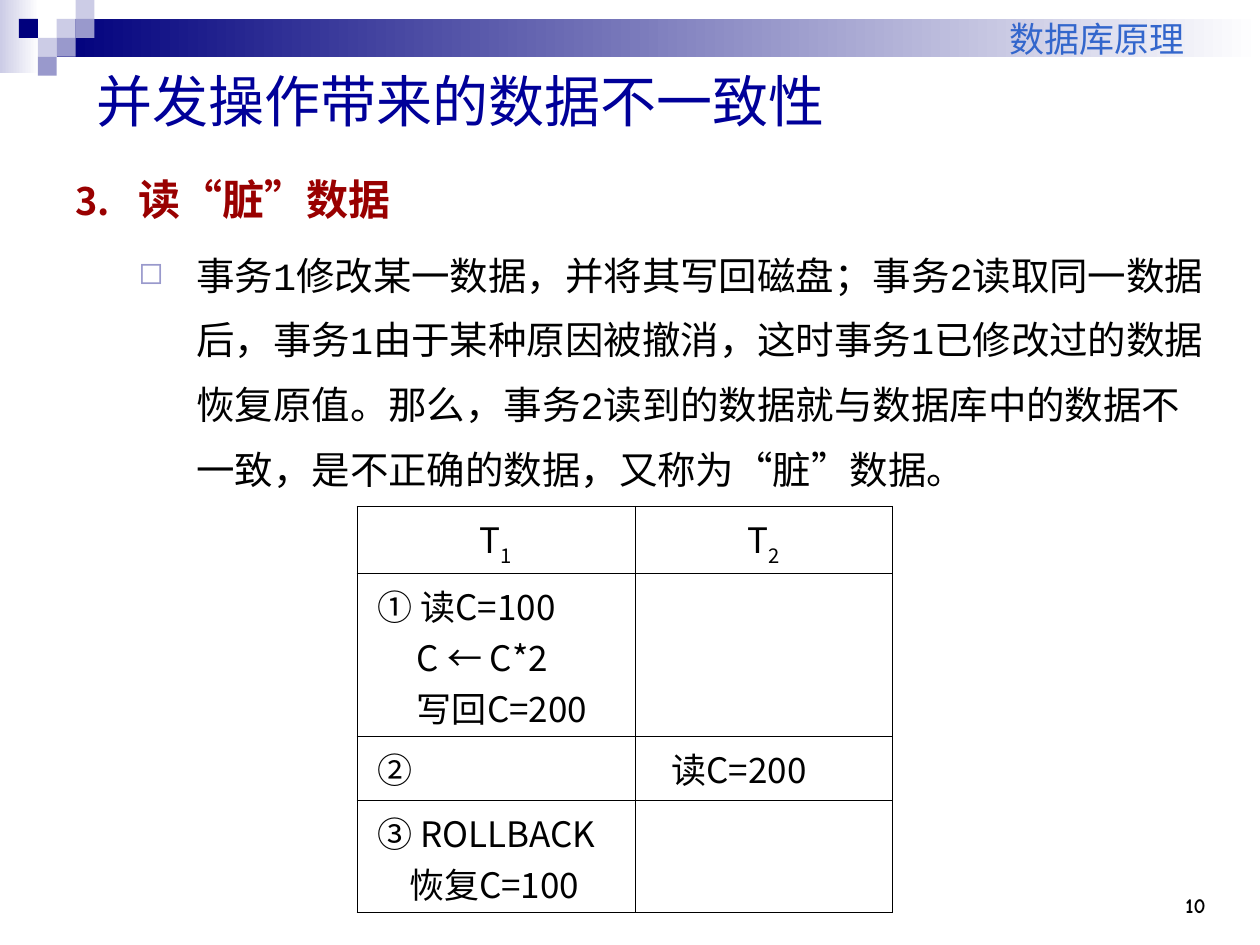
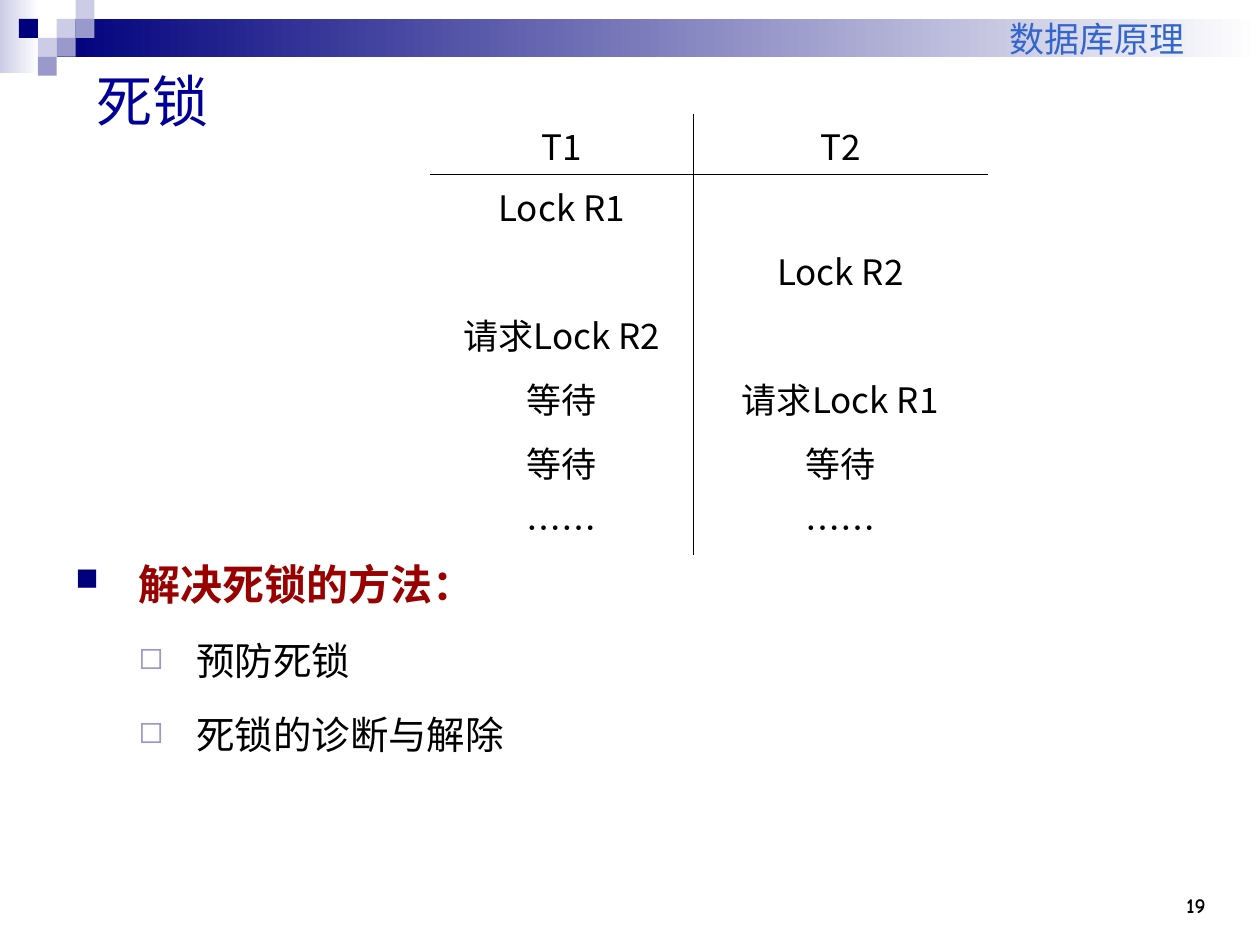
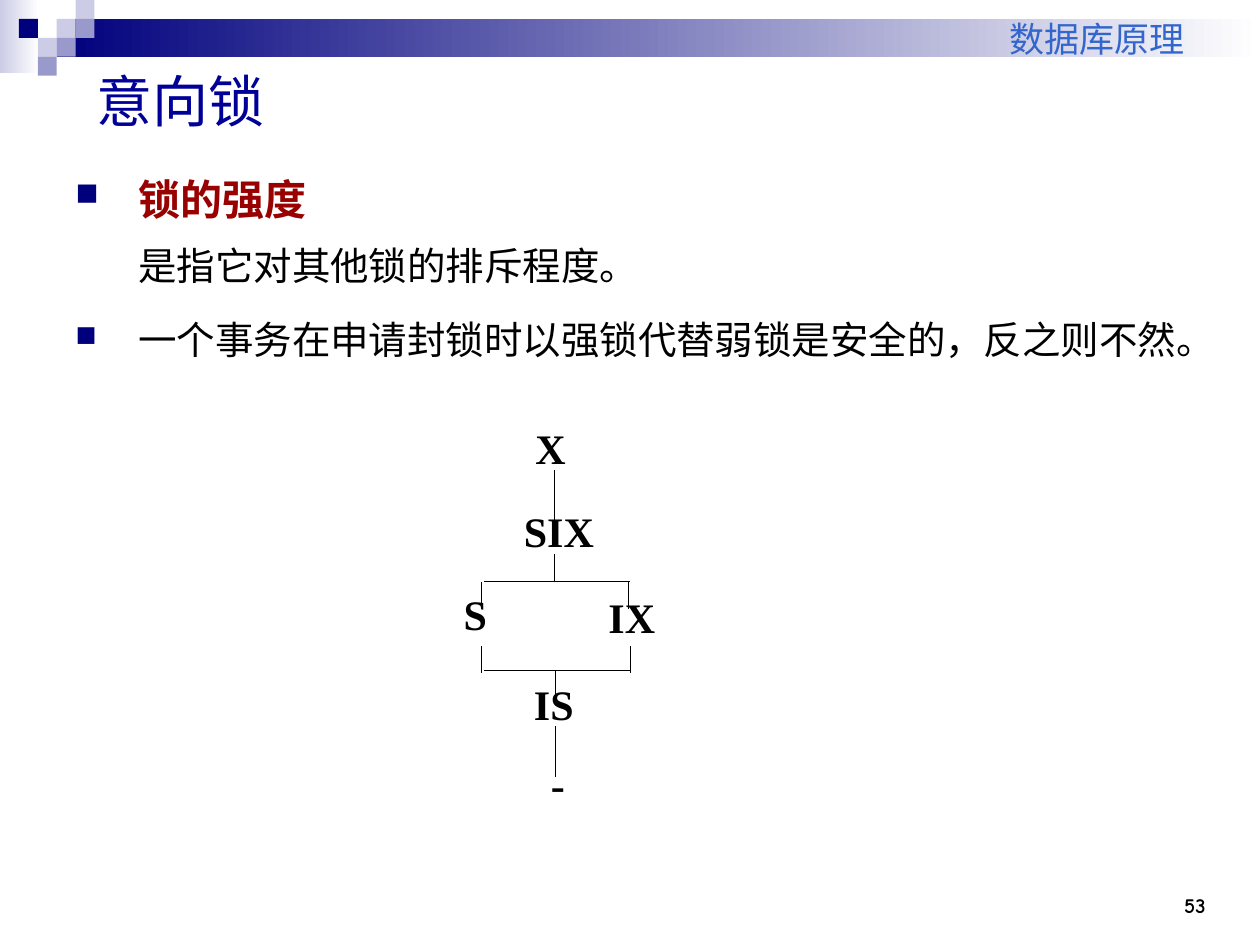
import pptx
import pptx.dml.color
import pptx.enum.shapes
import pptx.enum.text
import pptx.oxml.ns
import pptx.util
from dataclasses import dataclass
from lxml import etree

Pt = pptx.util.Pt
qn = pptx.oxml.ns.qn
ALIGN = pptx.enum.text.PP_ALIGN
ANCHOR = pptx.enum.text.MSO_ANCHOR
RECT = pptx.enum.shapes.MSO_SHAPE.RECTANGLE
LINE = pptx.enum.shapes.MSO_CONNECTOR.STRAIGHT

COLORS = {
    "navy": "00007D", "mid": "9999CC", "pale": "CCCCE6", "white": "FFFFFF",
    "title": "000099", "head": "3366CC", "red": "990000", "black": "000000",
}
COMIC, MONO, SANS, TIMES = "Comic Neue", "Courier New", "Noto Sans CJK SC", "Times New Roman"


@dataclass
class Box:
    left: float
    top: float
    width: float
    height: float

    def points(self) -> list:
        return [Pt(v) for v in (self.left, self.top, self.width, self.height)]


@dataclass
class Mark:
    """A bullet: a character, or a number when start is set."""
    color: str
    size: int
    char: str = ""
    start: int = 0


@dataclass
class Item:
    """A body paragraph; each run is (text, style)."""
    runs: list
    mark: Mark
    level: int = 0
    before: float = 5.5


@dataclass
class Cell:
    """A table cell; each line is (text, indent), and sub is a subscript."""
    lines: tuple = ()
    sub: str = ""
    align: ALIGN = ALIGN.LEFT


@dataclass
class Label:
    text: str
    box: Box
    indent: float = 0


STEP = 10.8
CHECKS = [(3, 1, "pale"), (4, 0, "pale"), (4, 1, "mid"), (2, 2, "pale"),
          (1, 1, "navy"), (3, 2, "mid"), (2, 3, "mid")]
BANDS = [(Box(0, 0, 22.3, 41.8), "pale"), (Box(32.4, 10.8, 687.6, 21.6), "navy")]
TITLE = Box(48, 30, 648, 54)
HEAD = Box(276, 0, 426, 37.5)
PAGE = Box(636, 492, 60, 36)
BODY = Box(36, 84, 660, 420)

SQUARE = Mark("navy", 75, "■")
HOLLOW = Mark("mid", 80, "◻")
STRONG = dict(size=24, font=MONO, color="red", bold=True)
PLAIN = dict(size=22, font=MONO)
INDENTS = [(36, -36), (69.1, -33.1)]


# Helpers
def rgb(name: str) -> pptx.dml.color.RGBColor:
    return pptx.dml.color.RGBColor.from_string(COLORS[name])


def write(para, text: str, *, size: float, font: str, color: str = "black",
          bold: bool = False, base: int = 0) -> None:
    run = para.add_run()
    run.text = text
    run.font.size, run.font.name, run.font.bold = Pt(size), font, bold
    run.font.color.rgb = rgb(color)
    props = run.font._element
    etree.SubElement(props, qn("a:ea")).set("typeface", SANS)
    if base:
        props.set("baseline", str(base * 1000))


def indent(para, left: float, first: float = 0) -> None:
    props = para._p.get_or_add_pPr()
    props.set("marL", str(Pt(left)))
    props.set("indent", str(Pt(first)))


def add_mark(para, mark: Mark) -> None:
    props = para._p.get_or_add_pPr()
    tint = etree.SubElement(props, qn("a:buClr"))
    etree.SubElement(tint, qn("a:srgbClr")).set("val", COLORS[mark.color])
    etree.SubElement(props, qn("a:buSzPct")).set("val", str(mark.size * 1000))
    if mark.start:
        auto = etree.SubElement(props, qn("a:buAutoNum"))
        auto.set("type", "arabicPeriod")
        auto.set("startAt", str(mark.start))
    else:
        etree.SubElement(props, qn("a:buChar")).set("char", mark.char)


def add_frame(slide, box: Box, anchor: ANCHOR = ANCHOR.TOP):
    frame = slide.shapes.add_textbox(*box.points()).text_frame
    frame.word_wrap = True
    frame.vertical_anchor = anchor
    return frame


def add_rect(slide, box: Box):
    shape = slide.shapes.add_shape(RECT, *box.points())
    shape.shadow.inherit = False
    shape.line.fill.background()
    return shape


def add_line(slide, x1: float, y1: float, x2: float, y2: float) -> None:
    line = slide.shapes.add_connector(LINE, Pt(x1), Pt(y1), Pt(x2), Pt(y2))
    line.line.color.rgb = rgb("black")
    line.line.width = Pt(0.5)
    etree.SubElement(line._element.spPr, qn("a:effectLst"))


# Shared slide parts
def add_slide(deck, title: str, page: int):
    slide = deck.slides.add_slide(deck.slide_layouts[6])
    for box, color in BANDS:
        fill = add_rect(slide, box).fill
        fill.gradient()
        fill.gradient_angle = 0
        for stop, name in zip(fill.gradient_stops, (color, "white")):
            stop.color.rgb = rgb(name)
    for col, row, color in CHECKS:
        fill = add_rect(slide, Box(col * STEP, row * STEP, STEP, STEP)).fill
        fill.solid()
        fill.fore_color.rgb = rgb(color)

    para = add_frame(slide, PAGE, ANCHOR.BOTTOM).paragraphs[0]
    para.alignment = ALIGN.RIGHT
    write(para, str(page), size=12, font=COMIC, bold=True)

    frame = add_frame(slide, HEAD, ANCHOR.BOTTOM)
    frame.margin_right = Pt(25)
    frame.paragraphs[0].alignment = ALIGN.RIGHT
    write(frame.paragraphs[0], "数据库原理", size=20, font=COMIC, color="head")

    para = add_frame(slide, TITLE, ANCHOR.MIDDLE).paragraphs[0]
    write(para, title, size=32, font=COMIC, color="title")
    return slide


def add_body(slide, box: Box, items: list[Item]) -> None:
    frame = add_frame(slide, box)
    for i, item in enumerate(items):
        para = frame.add_paragraph() if i else frame.paragraphs[0]
        para.level = item.level
        para.line_spacing = 1.4
        para.space_before = Pt(item.before if i else 0)
        indent(para, *INDENTS[item.level])
        add_mark(para, item.mark)
        for j, (text, style) in enumerate(item.runs):
            if j:
                para.add_line_break()
            write(para, text, **style)


# Tables
def add_edges(cell, sides: str) -> None:
    props = cell._tc.get_or_add_tcPr()
    for side in "LRTB":
        edge = etree.SubElement(props, qn(f"a:ln{side}"))
        edge.set("w", str(Pt(0.45)))
        if side in sides:
            fill = etree.SubElement(edge, qn("a:solidFill"))
            etree.SubElement(fill, qn("a:srgbClr")).set("val", COLORS["black"])
        else:
            etree.SubElement(edge, qn("a:noFill"))
    cell.fill.background()


def add_grid(slide, left: float, top: float, cols: list, rows: list,
             cells: list[list[Cell]], boxed: bool) -> None:
    box = Box(left, top, sum(cols), sum(rows))
    table = slide.shapes.add_table(len(rows), len(cols), *box.points()).table
    table.first_row = table.horz_banding = False
    for col, width in zip(table.columns, cols):
        col.width = Pt(width)
    for r, (height, line) in enumerate(zip(rows, cells)):
        table.rows[r].height = Pt(height)
        for c, data in enumerate(line):
            cell = table.cell(r, c)
            inner = ("L" if c else "R") + {0: "B", 1: "T"}.get(r, "")
            add_edges(cell, "LRTB" if boxed else inner)
            for i, (text, left_pad) in enumerate(data.lines):
                frame = cell.text_frame
                para = frame.add_paragraph() if i else frame.paragraphs[0]
                para.alignment = data.align
                indent(para, left_pad)
                write(para, text, size=20, font=SANS)
                if data.sub:
                    write(para, data.sub, size=20, font=SANS, base=-30)


def mid(text: str, sub: str = "") -> Cell:
    return Cell(((text, 0),) if text else (), sub, ALIGN.CENTER)


# Slides
def dirty_read(deck) -> None:
    slide = add_slide(deck, "并发操作带来的数据不一致性", 10)
    add_body(slide, BODY, [
        Item([("读“脏”数据", STRONG)], Mark("red", 90, start=3)),
        Item([("事务1修改某一数据，并将其写回磁盘；事务2读取同一数据后，事务1由于某种原因被撤消，"
               "这时事务1已修改过的数据恢复原值。那么，事务2读到的数据就与数据库中的数据不一致，"
               "是不正确的数据，又称为“脏”数据。", PLAIN)], HOLLOW, level=1),
    ])
    add_grid(slide, 204, 289.3, [159, 147], [38.5, 93, 36.7, 64], [
        [mid("T", "1"), mid("T", "2")],
        [Cell((("① 读C=100", 4.5), ("C ← C*2", 27), ("写回C=200", 27))), Cell()],
        [Cell((("②", 4.5),)), Cell((("读C=200", 13.5),))],
        [Cell((("③ ROLLBACK", 4.5), ("恢复C=100", 22.5))), Cell()],
    ], boxed=True)


def deadlock(deck) -> None:
    slide = add_slide(deck, "死锁", 19)
    add_body(slide, Box(36, 304, 660, 200), [
        Item([("解决死锁的方法：", STRONG)], SQUARE),
        Item([("预防死锁", PLAIN)], HOLLOW, level=1),
        Item([("死锁的诊断与解除", PLAIN)], HOLLOW, level=1),
    ])
    steps = [("T1", "T2"), ("Lock R1", ""), ("", "Lock R2"), ("请求Lock R2", ""),
             ("等待", "请求Lock R1"), ("等待", "等待"), ("……", "……")]
    add_grid(slide, 246, 65, [150, 168.5], [34.6] + [36.6] * 5 + [34.6],
             [[mid(text) for text in pair] for pair in steps], boxed=False)


def intent_lock(deck) -> None:
    slide = add_slide(deck, "意向锁", 53)
    add_body(slide, BODY, [
        Item([("锁的强度", STRONG), ("是指它对其他锁的排斥程度。", PLAIN)], SQUARE),
        Item([("一个事务在申请封锁时以强锁代替弱锁是安全的，反之则不然。", PLAIN)], SQUARE),
    ])
    # Brackets and stems of the lock tree
    for y in (332, 383):
        add_line(slide, 276.5, y, 360, y)
    for x, top in ((275, 332.6), (359.3, 332.6), (275, 369.4), (360, 369.4)):
        add_line(slide, x, top, x, top + 15.2)
    for x, top, end in ((316.8, 268.6, 298), (316.8, 316.8, 332),
                        (317.5, 383, 399), (317.5, 414.7, 444.2)):
        add_line(slide, x, top, x, end)
    # Lock names
    for label in (
        Label("X", Box(298.8, 239.8, 42.5, 33)),
        Label("SIX", Box(292.3, 287.3, 60.5, 40.3)),
        Label("S", Box(257.8, 334.8, 39.6, 40.3)),
        Label("IX", Box(340.6, 336.2, 43.2, 40.3)),
        Label("IS", Box(298, 386, 54, 40.3)),
        Label("-", Box(301.7, 432, 41, 36), indent=6),
    ):
        para = add_frame(slide, label.box).paragraphs[0]
        para.line_spacing = 0.96
        indent(para, label.indent)
        write(para, label.text, size=24, font=TIMES, bold=True)


def main() -> None:
    deck = pptx.Presentation()
    deck.slide_width, deck.slide_height = Pt(720), Pt(540)
    dirty_read(deck)
    deadlock(deck)
    intent_lock(deck)
    deck.save("out.pptx")


if __name__ == "__main__":
    main()
